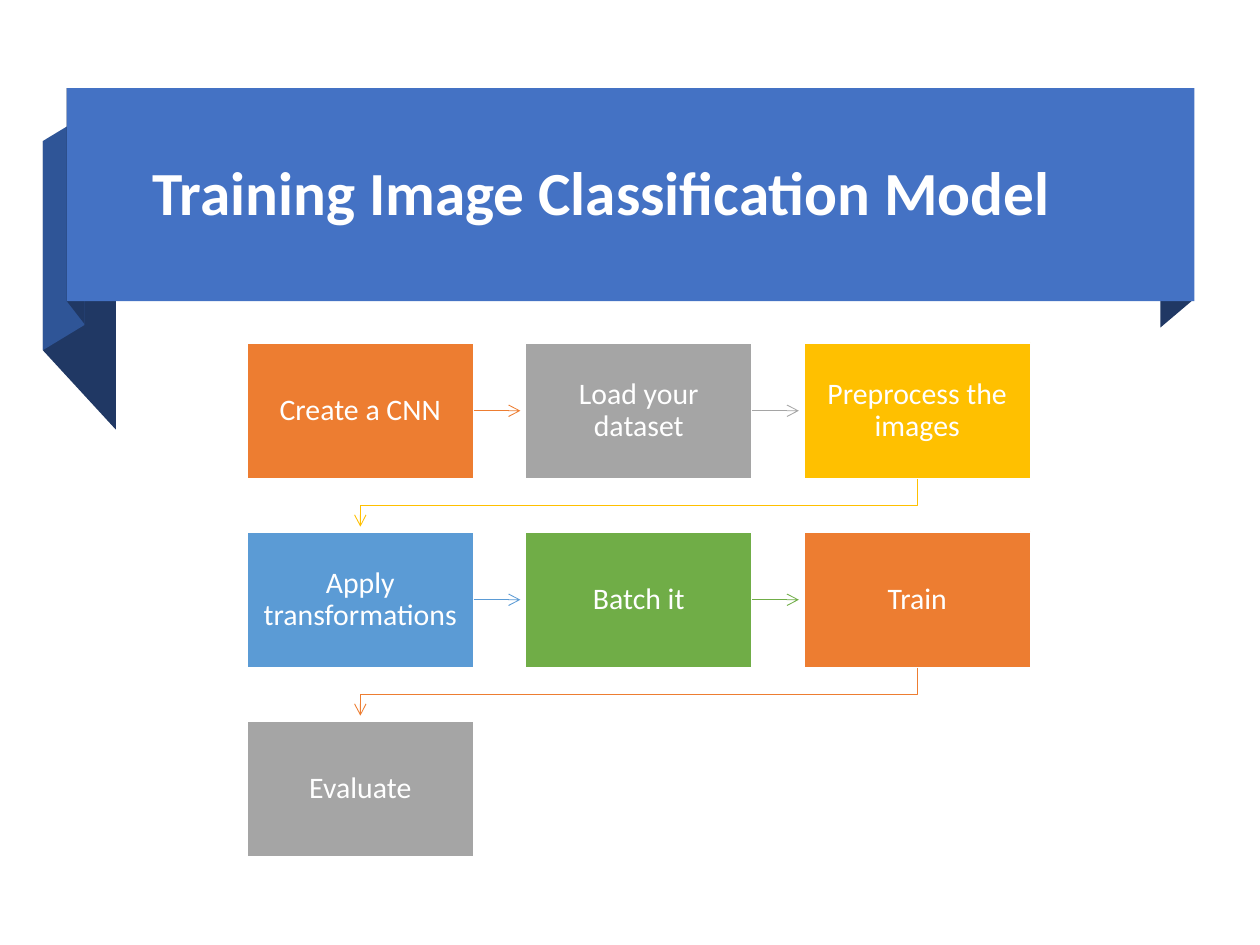
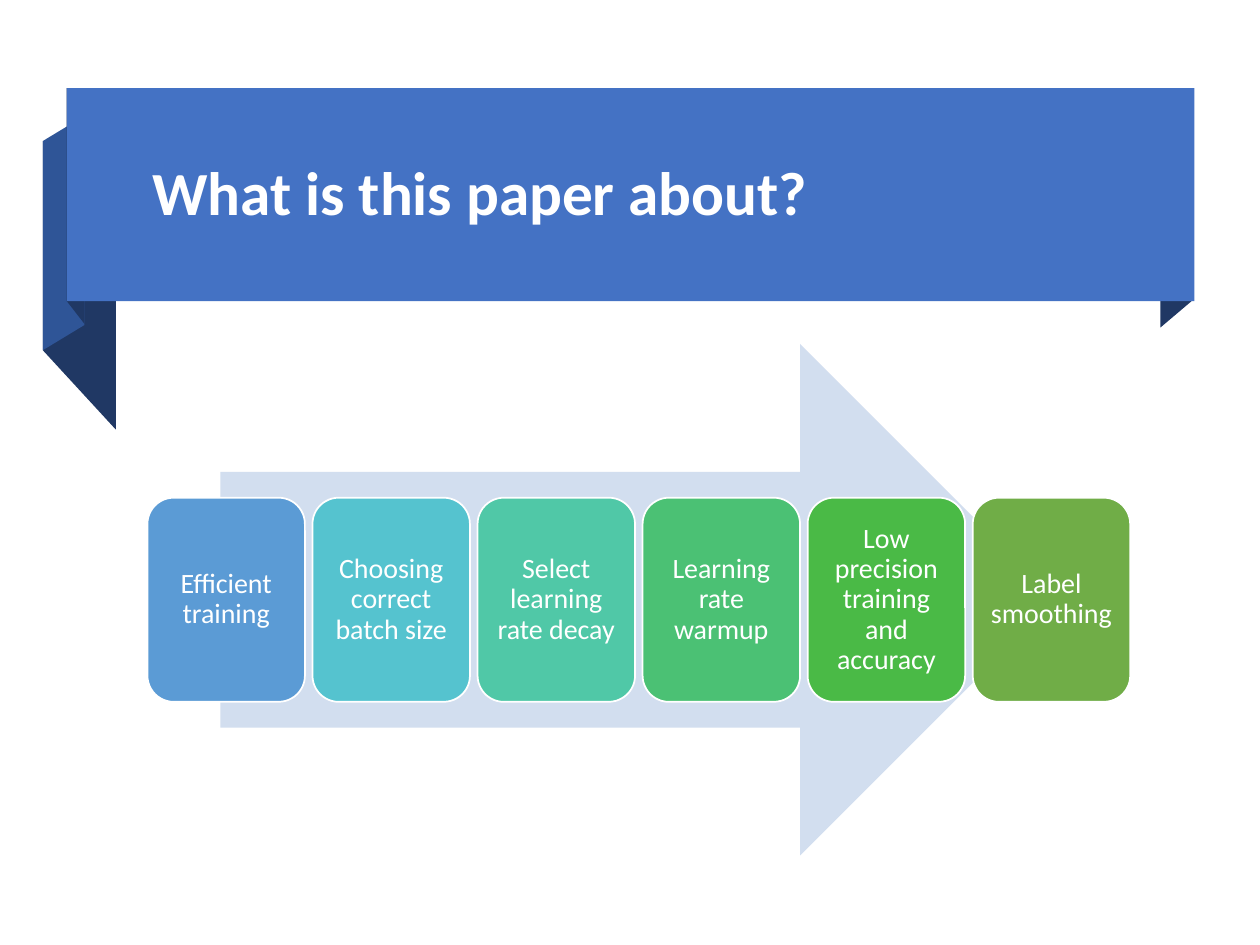
"""Build two ribbon-titled slides: a training flow and a row of paper topics."""
from dataclasses import dataclass
from itertools import pairwise

from lxml.etree import SubElement
from pptx import Presentation
from pptx.dml.color import RGBColor
from pptx.enum.shapes import MSO_CONNECTOR, MSO_SHAPE
from pptx.enum.text import MSO_ANCHOR, MSO_AUTO_SIZE, PP_ALIGN
from pptx.oxml.ns import qn
from pptx.util import Inches, Pt

COLORS = {
    "white": "FFFFFF", "band": "4472C4", "fold": "2F5597", "shade": "203864",
    "orange": "ED7D31", "gray": "A5A5A5", "gold": "FFC000", "blue": "5B9BD5",
    "green": "70AD47", "pale": "D2DEEF", "cyan": "55C3CF", "teal": "50C8A7",
    "mint": "4BC174", "leaf": "4ABA46",
}
TITLE_FONT = {"name": "Calibri", "size": Pt(35), "bold": True}
STEP_FONT = {"name": "Calibri", "size": Pt(17)}
TOPIC_FONT = {"name": "Calibri", "size": Pt(16)}
TITLE_PARA = {"alignment": PP_ALIGN.LEFT, "line_spacing": 0.9, "space_before": Pt(0), "space_after": Pt(6)}
BOX_PARA = {"alignment": PP_ALIGN.CENTER, "line_spacing": 0.9}
FRAME = {"word_wrap": True, "auto_size": MSO_AUTO_SIZE.NONE, "vertical_anchor": MSO_ANCHOR.MIDDLE}
COLS = 3
ARROW_GAP = 0.04
ELBOW_DROP = 0.21


@dataclass(frozen=True)
class Box:
    """A labelled box and its fill colour."""
    text: str
    color: str


@dataclass(frozen=True)
class Fold:
    """A closed ribbon fold and its fill colour."""
    color: str
    points: tuple


@dataclass(frozen=True)
class Grid:
    """Start, pitch and box size of a grid, in inches."""
    left: float
    top: float
    dx: float
    dy: float
    width: float
    height: float

    def place(self, i: int, cols: int) -> tuple:
        """Return left, top, width and height of box i."""
        row, col = divmod(i, cols)
        return self.left + col * self.dx, self.top + row * self.dy, self.width, self.height


FOLDS = (
    Fold("shade", ((9.47, 2.38), (9.21, 2.6), (9.21, 0.91), (9.47, 0.7))),
    Fold("shade", ((0.92, 3.41), (0.34, 2.78), (0.34, 1.12), (0.92, 1.75))),
    Fold("fold", ((0.67, 2.58), (0.34, 2.78), (0.34, 1.12), (0.67, 0.92))),
    Fold("shade", ((0.67, 2.57), (0.53, 2.39), (0.53, 0.7), (0.67, 0.89))),
)
STEPS = (
    Box("Create a CNN", "orange"), Box("Load your dataset", "gray"),
    Box("Preprocess the images", "gold"), Box("Apply transformations", "blue"),
    Box("Batch it", "green"), Box("Train", "orange"), Box("Evaluate", "gray"),
)
TOPICS = (
    Box("Efficient training", "blue"), Box("Choosing correct batch size", "cyan"),
    Box("Select learning rate decay", "teal"), Box("Learning rate warmup", "mint"),
    Box("Low precision training and accuracy", "leaf"), Box("Label smoothing", "green"),
)
STEP_GRID = Grid(1.96, 2.72, 2.21, 1.5, 1.8, 1.08)
TOPIC_GRID = Grid(1.17, 3.95, 1.31, 0, 1.25, 1.62)


def rgb(name: str) -> RGBColor:
    """Return the named colour."""
    return RGBColor.from_string(COLORS[name])


def apply(target, values: dict) -> None:
    """Set every format value on the target."""
    for key, value in values.items():
        setattr(target, key, value)


def paint(sp, fill: str | None, line: str | None = None, width: float = 1) -> None:
    """Give a shape its fill and line, without shadow."""
    sp.shadow.inherit = False
    if fill:
        sp.fill.solid()
        sp.fill.fore_color.rgb = rgb(fill)
    else:
        sp.fill.background()
    if line:
        sp.line.color.rgb = rgb(line)
        sp.line.width = Pt(width)
    else:
        sp.line.fill.background()


def write(sp, text: str, para: dict, font: dict, inset: float | None = None) -> None:
    """Write one formatted white paragraph into a shape."""
    tf = sp.text_frame
    apply(tf, FRAME)
    if inset is not None:
        sides = ("left", "top", "right", "bottom")
        apply(tf, {f"margin_{side}": Inches(inset) for side in sides})
    p = tf.paragraphs[0]
    apply(p, para)
    r = p.add_run()
    r.text = text
    apply(r.font, font)
    r.font.color.rgb = rgb("white")


def add_preset(s, kind: MSO_SHAPE, place: tuple, fill: str, line: str | None = None):
    """Add a painted preset shape at a place in inches."""
    sp = s.shapes.add_shape(kind, *map(Inches, place))
    paint(sp, fill, line)
    return sp


def add_outline(s, points: tuple, close: bool):
    """Add a freeform through points in inches."""
    start, *rest = [(Inches(x), Inches(y)) for x, y in points]
    builder = s.shapes.build_freeform(*start)
    builder.add_line_segments(rest, close=close)
    return builder.convert_to_shape()


def add_arrowhead(sp) -> None:
    """Put an open arrowhead at the end of a line."""
    SubElement(sp.element.spPr.find(qn("a:ln")), qn("a:tailEnd"), type="arrow")


def add_boxes(s, kind: MSO_SHAPE, boxes: tuple, grid: Grid, cols: int, font: dict, inset: float) -> list:
    """Draw labelled boxes on a grid and return them."""
    shapes = []
    for i, box in enumerate(boxes):
        sp = add_preset(s, kind, grid.place(i, cols), box.color, "white")
        write(sp, box.text, BOX_PARA, font, inset)
        shapes.append(sp)
    return shapes


def add_straight_arrow(s, sp, start: tuple, end: tuple, color: str) -> None:
    """Draw an arrow from the right side of a box."""
    cx = s.shapes.add_connector(MSO_CONNECTOR.STRAIGHT, *map(Inches, start + end))
    cx.begin_connect(sp, 3)
    cx.line.color.rgb = rgb(color)
    cx.line.width = Pt(0.5)
    add_arrowhead(cx)
    SubElement(cx.element.spPr, qn("a:effectLst"))


def add_elbow_arrow(s, start: tuple, end: tuple, color: str) -> None:
    """Draw an arrow that goes down, across and down to the next row."""
    bend = start[1] + ELBOW_DROP
    sp = add_outline(s, (start, (start[0], bend), (end[0], bend), end), close=False)
    paint(sp, None, color, 0.5)
    add_arrowhead(sp)


def add_ribbon_slide(prs, title: str):
    """Add a slide with the ribbon and its title."""
    s = prs.slides.add_slide(prs.slide_layouts[5])
    for fold in FOLDS:
        paint(add_outline(s, fold.points, close=True), fold.color)
    add_preset(s, MSO_SHAPE.RECTANGLE, (0.53, 0.7, 8.95, 1.69), "band")
    sp = s.shapes.title
    sp.element.getparent().append(sp.element)
    box = {"left": 1.11, "top": 0.83, "width": 8.2, "height": 1.45}
    apply(sp, {key: Inches(value) for key, value in box.items()})
    write(sp, title, TITLE_PARA, TITLE_FONT)
    return s


def build_training(prs) -> None:
    """Build the flow of training steps."""
    s = add_ribbon_slide(prs, "Training Image Classification Model")
    shapes = add_boxes(s, MSO_SHAPE.RECTANGLE, STEPS, STEP_GRID, COLS, STEP_FONT, 0.09)
    for i, j in pairwise(range(len(STEPS))):
        x1, y1, w, h = STEP_GRID.place(i, COLS)
        x2, y2, _, _ = STEP_GRID.place(j, COLS)
        color = STEPS[i].color
        if j % COLS:
            add_straight_arrow(s, shapes[i], (x1 + w, y1 + h / 2), (x2 - ARROW_GAP, y2 + h / 2), color)
        else:
            add_elbow_arrow(s, (x1 + w / 2, y1 + h), (x2 + w / 2, y2 - ARROW_GAP), color)


def build_topics(prs) -> None:
    """Build the row of topics on a wide arrow."""
    s = add_ribbon_slide(prs, "What is this paper about?")
    add_preset(s, MSO_SHAPE.RIGHT_ARROW, (1.75, 2.73, 6.63, 4.06), "pale")
    add_boxes(s, MSO_SHAPE.ROUNDED_RECTANGLE, TOPICS, TOPIC_GRID, len(TOPICS), TOPIC_FONT, 0.07)


def main() -> None:
    """Build and save the presentation."""
    prs = Presentation()
    prs.slide_width, prs.slide_height = Inches(10), Inches(7.5)
    build_training(prs)
    build_topics(prs)
    prs.save("out.pptx")


if __name__ == "__main__":
    main()
